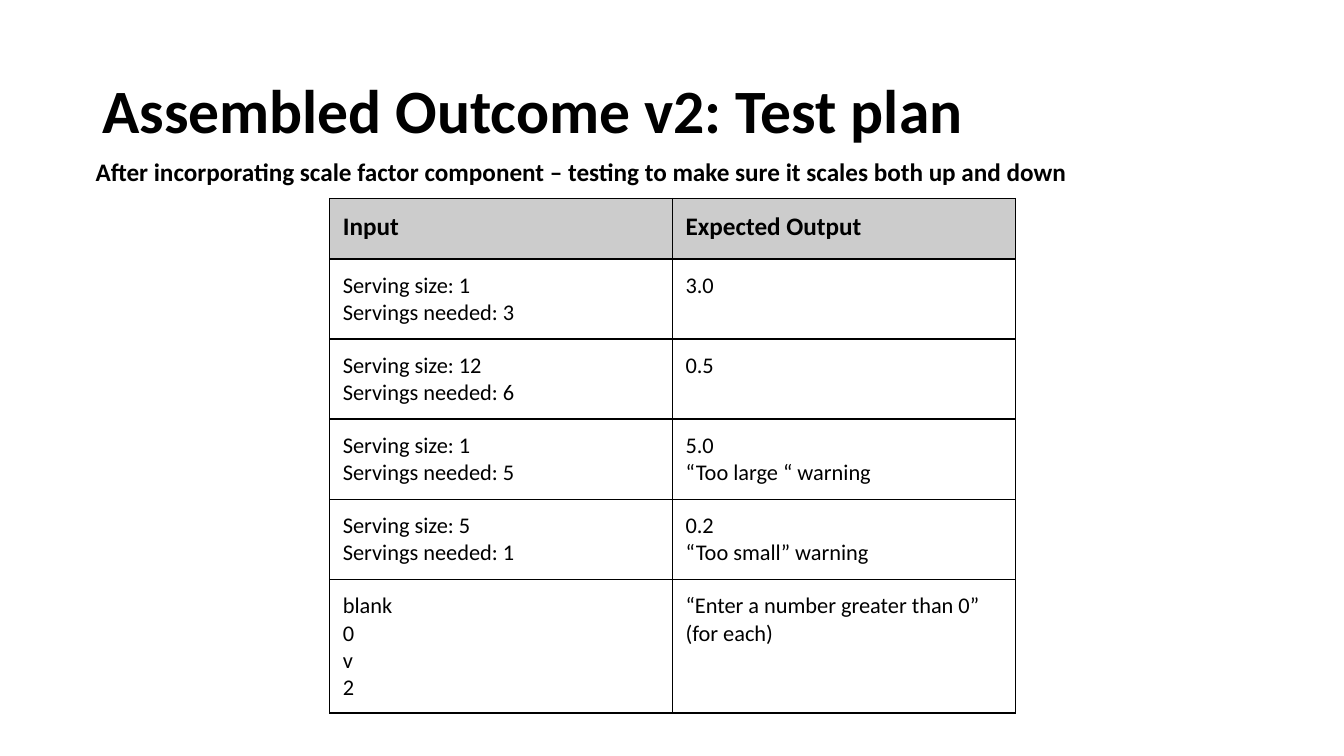
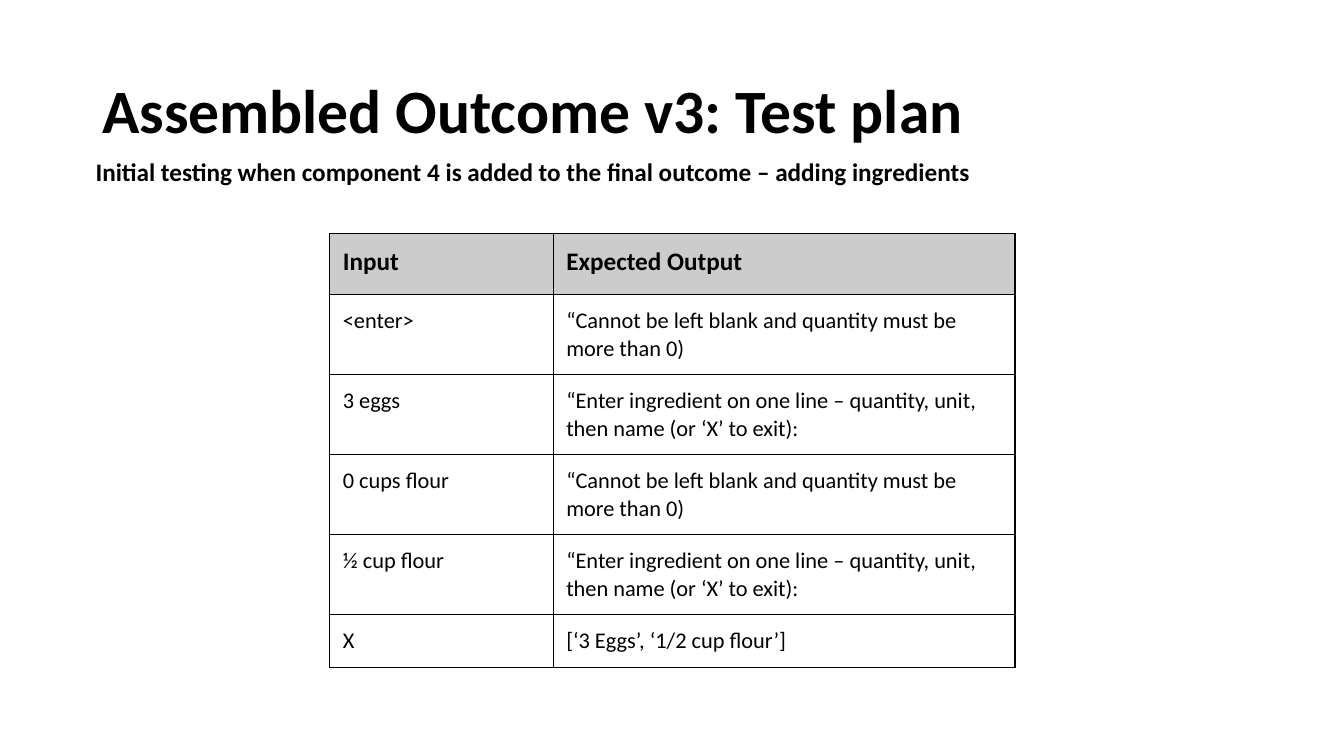
from dataclasses import dataclass

from lxml.etree import SubElement
from pptx import Presentation
from pptx.dml.color import RGBColor
from pptx.enum.text import MSO_ANCHOR
from pptx.oxml.ns import qn
from pptx.util import Pt


@dataclass(frozen=True)
class Theme:
    font: str = "Calibri"
    ink: str = "000000"
    paper: str = "FFFFFF"
    header: str = "CCCCCC"
    title_size: float = 44
    lead_size: float = 18
    body_size: float = 16
    border: float = 1
    cell_inset: float = 9.4
    header_height: float = 43.2
    row_height: float = 37.4


THEME = Theme()
TITLE_BOX = (66, 28.8, 828, 104.4)
SUBTITLE_BOX = (61.2, 108, 832.3, 29)
TABLE_LEFT = 235.5
HEADINGS = ("Input", "Expected Output")

PLANS = [
    {
        "title": "Assembled Outcome v2: Test plan",
        "subtitle": "After incorporating scale factor component – testing to make "
                    "sure it scales both up and down",
        "top": 141.8,
        "widths": (244.8, 244.8),
        "tests": [
            ("Serving size: 1\nServings needed: 3", "3.0"),
            ("Serving size: 12\nServings needed: 6", "0.5"),
            ("Serving size: 1\nServings needed: 5", "5.0\n“Too large “ warning"),
            ("Serving size: 5\nServings needed: 1", "0.2\n“Too small” warning"),
            ("blank\n0\nv\n2", "“Enter a number greater than 0” (for each)"),
        ],
    },
    {
        "title": "Assembled Outcome v3: Test plan",
        "subtitle": "Initial testing when component 4 is added to the final outcome "
                    "– adding ingredients",
        "top": 167,
        "widths": (159.6, 330),
        "tests": [
            ("<enter>", "“Cannot be left blank and quantity must be more than 0)"),
            ("3 eggs", "“Enter ingredient on one line – quantity, unit, then name "
                       "(or ‘X’ to exit):"),
            ("0 cups flour", "“Cannot be left blank and quantity must be more than 0)"),
            ("½ cup flour", "“Enter ingredient on one line – quantity, unit, then name "
                            "(or ‘X’ to exit):"),
            ("X", "[‘3 Eggs’, ‘1/2 cup flour’]"),
        ],
    },
]


def write_text(tf, text, size=THEME.body_size, bold=False, spacing=None):
    """Fill a text frame, one paragraph for each line of text."""
    tf.word_wrap = True
    for i, line in enumerate(text.split("\n")):
        p = tf.paragraphs[0] if i == 0 else tf.add_paragraph()
        if spacing:
            p.line_spacing = spacing
        r = p.add_run()
        r.text = line
        r.font.name = THEME.font
        r.font.size = Pt(size)
        r.font.bold = bold
        r.font.color.rgb = RGBColor.from_string(THEME.ink)


def add_text(s, box, text, anchor=MSO_ANCHOR.TOP, **fmt):
    tf = s.shapes.add_textbox(*map(Pt, box)).text_frame
    tf.vertical_anchor = anchor
    write_text(tf, text, **fmt)


def add_borders(cell):
    tc_pr = cell._tc.get_or_add_tcPr()
    for side in ("a:lnL", "a:lnR", "a:lnT", "a:lnB"):
        ln = SubElement(tc_pr, qn(side), w=str(Pt(THEME.border)))
        fill = SubElement(ln, qn("a:solidFill"))
        SubElement(fill, qn("a:srgbClr"), val=THEME.ink)


def format_cell(cell, text, is_header):
    inset = Pt(THEME.cell_inset)
    cell.margin_left = cell.margin_right = inset
    cell.margin_top = cell.margin_bottom = inset
    add_borders(cell)
    cell.fill.solid()
    cell.fill.fore_color.rgb = RGBColor.from_string(
        THEME.header if is_header else THEME.paper)
    size = THEME.lead_size if is_header else THEME.body_size
    write_text(cell.text_frame, text, size=size, bold=is_header)


def add_test_table(s, left, top, widths, tests):
    rows = [HEADINGS, *tests]
    heights = [THEME.header_height] + [THEME.row_height] * len(tests)
    box = (left, top, sum(widths), sum(heights))
    table = s.shapes.add_table(len(rows), len(widths), *map(Pt, box)).table
    table.horz_banding = False
    for column, width in zip(table.columns, widths):
        column.width = Pt(width)
    for i, (row, height, texts) in enumerate(zip(table.rows, heights, rows)):
        row.height = Pt(height)
        for cell, text in zip(row.cells, texts):
            format_cell(cell, text, is_header=i == 0)


def add_plan_slide(prs, title, subtitle, top, widths, tests):
    s = prs.slides.add_slide(prs.slide_layouts[6])
    add_text(s, TITLE_BOX, title, anchor=MSO_ANCHOR.MIDDLE,
             size=THEME.title_size, bold=True, spacing=0.9)
    add_text(s, SUBTITLE_BOX, subtitle, size=THEME.lead_size, bold=True)
    add_test_table(s, TABLE_LEFT, top, widths, tests)


def main():
    prs = Presentation()
    prs.slide_width, prs.slide_height = Pt(960), Pt(540)
    for plan in PLANS:
        add_plan_slide(prs, **plan)
    prs.save("out.pptx")


if __name__ == "__main__":
    main()
